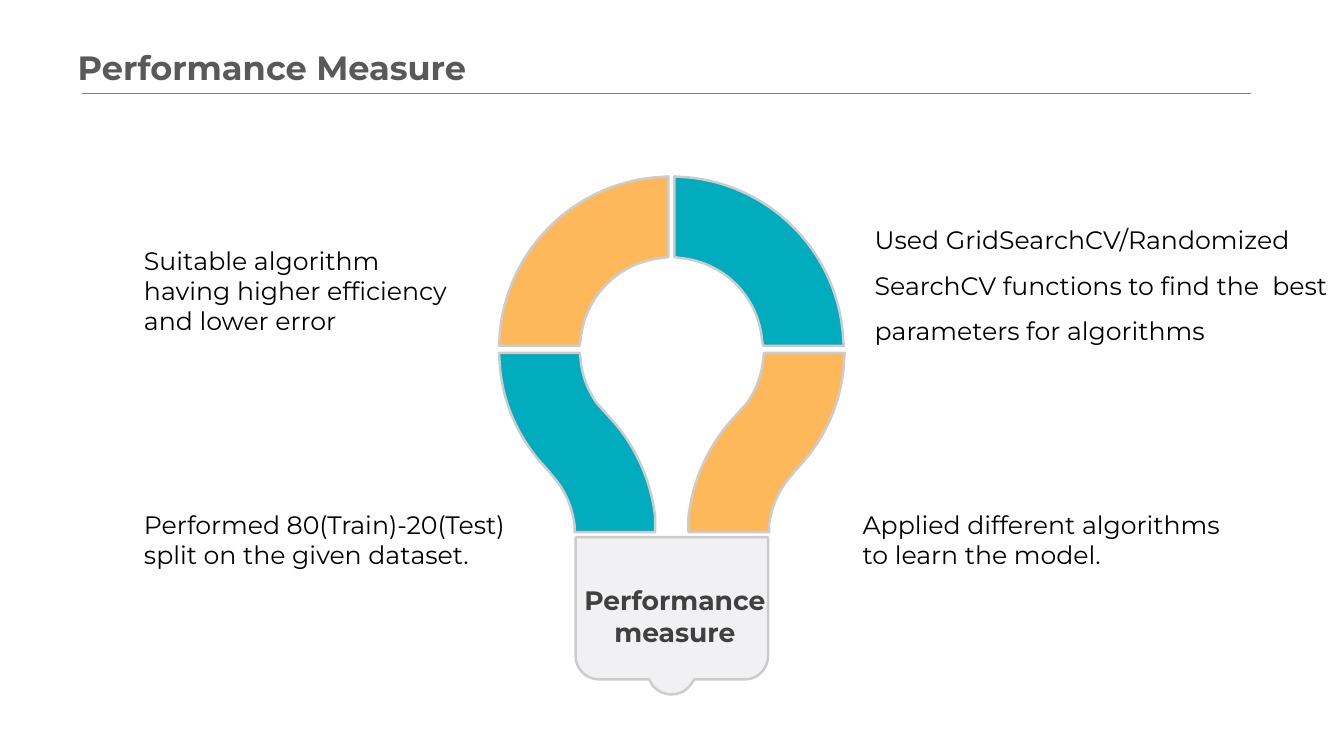
from dataclasses import dataclass
from pptx import Presentation
from pptx.dml.color import RGBColor
from pptx.enum.text import MSO_ANCHOR, MSO_AUTO_SIZE, PP_ALIGN
from pptx.oxml.ns import qn
from pptx.util import Inches, Pt

LEFT, CENTER = PP_ALIGN.LEFT, PP_ALIGN.CENTER
MIDDLE, FIXED = MSO_ANCHOR.MIDDLE, MSO_AUTO_SIZE.NONE


@dataclass(frozen=True)
class Theme:
    """Colours, font and type sizes."""
    font: str = "Montserrat"
    teal: str = "01ACBE"
    amber: str = "FFB859"
    base: str = "F1F1F3"
    edge: str = "CCCCCC"
    rule: str = "808080"
    head: str = "595959"
    label: str = "404040"
    text: str = "000000"
    title_size: int = 24
    label_size: int = 19
    body_size: int = 18


ARC = [(6.63, 1.75), (6.63, 2.55), (6.57, 2.56),
       (6.14, 2.6, 5.8, 2.94, 5.76, 3.37), (5.75, 3.43), (4.95, 3.43),
       (4.96, 3.29), (5.04, 2.48, 5.68, 1.84, 6.49, 1.76)]
NECK = [(4.95, 3.5), (5.75, 3.5), (5.76, 3.56),
        (5.77, 3.72, 5.83, 3.87, 5.92, 4), (6.02, 4.11), (6.1, 4.2),
        (6.32, 4.46, 6.46, 4.78, 6.5, 5.13), (6.5, 5.28), (5.7, 5.28),
        (5.7, 5.21), (5.68, 5.05, 5.62, 4.9, 5.53, 4.78), (5.44, 4.67),
        (5.35, 4.57), (5.14, 4.32, 4.99, 4, 4.96, 3.64)]
SOCKET = [(5.71, 5.33), (7.62, 5.33), (7.62, 6.51),
          (7.62, 6.63, 7.52, 6.74, 7.4, 6.74), (6.89, 6.74), (6.84, 6.81),
          (6.8, 6.86, 6.73, 6.89, 6.66, 6.89),
          (6.59, 6.89, 6.53, 6.86, 6.48, 6.81), (6.44, 6.74), (5.94, 6.74),
          (5.81, 6.74, 5.71, 6.63, 5.71, 6.51)]

NOTES = [
    ((1.33, 2.38, 3.29, 1.01),
     [("Suitable algorithm having higher efficiency and lower error", 1)]),
    ((1.33, 5, 4.18, 1.25),
     [("Performed 80(Train)-20(Test) split on the given dataset.", 1)]),
    ((8.58, 2.18, 4.73, 1.26),
     [("Used GridSearchCV/Randomized", 1),
      ("SearchCV functions to find the  best parameters for algorithms", 1.5)]),
    ((8.46, 5, 3.76, 0.71),
     [("Applied different algorithms to learn the model.", 1)]),
]


def mirror(path, span):
    """Flip a path about the upright line at half the span."""
    return [tuple(v if i % 2 else span - v for i, v in enumerate(part))
            for part in path]


class Canvas:
    """Draws styled elements on one slide."""

    def __init__(self, deck, theme):
        """Add a title-only slide."""
        self.theme = theme
        self.slide = deck.slides.add_slide(deck.slide_layouts[5])
        self.shapes = self.slide.shapes

    def style(self, para, size, color, bold=False, align=LEFT):
        """Format one paragraph."""
        para.alignment = align
        font = para.font
        font.name, font.size, font.bold = self.theme.font, Pt(size), bold
        font.color.rgb = RGBColor.from_string(color)

    def title(self, text, box):
        """Place and format the title."""
        shape = self.shapes.title
        shape.left, shape.top, shape.width, shape.height = map(Inches, box)
        frame = shape.text_frame
        frame.text = text
        frame.auto_size, frame.vertical_anchor = FIXED, MIDDLE
        para = frame.paragraphs[0]
        para.space_before = Pt(0)
        self.style(para, self.theme.title_size, self.theme.head, True)

    def text(self, box, lines, *look):
        """Add a wrapped text box of (text, line spacing) pairs."""
        frame = self.shapes.add_textbox(*map(Inches, box)).text_frame
        frame.word_wrap = True
        for i, (words, gap) in enumerate(lines):
            para = frame.add_paragraph() if i else frame.paragraphs[0]
            para.text = words
            if gap != 1:
                para.line_spacing = gap
            self.style(para, *look)

    def outline(self, path, color):
        """Add a closed filled outline of lines and cubic curves."""
        points = [(Inches(x), Inches(y)) for part in path
                  for x, y in zip(part[::2], part[1::2])]
        pen = self.shapes.build_freeform(*points[0])
        pen.add_line_segments(points[1:], close=True)
        shape = pen.convert_to_shape()
        self.bend(shape, path)
        shape.shadow.inherit = False
        shape.fill.solid()
        shape.fill.fore_color.rgb = RGBColor.from_string(color)
        shape.line.color.rgb = RGBColor.from_string(self.theme.edge)
        shape.line.width = Pt(1.75)

    def bend(self, shape, path):
        """Join each three segments of a curve into one cubic."""
        segs = iter(list(shape._element.iter(qn("a:lnTo"))))
        for part in path[1:]:
            first = next(segs)
            if len(part) == 2:
                continue
            curve = first.makeelement(qn("a:cubicBezTo"), {})
            first.addprevious(curve)
            for seg in (first, next(segs), next(segs)):
                curve.append(seg[0])
                seg.getparent().remove(seg)

    def rule(self, left, right, top):
        """Add a thin level line."""
        line = self.shapes.add_connector(
            1, Inches(left), Inches(top), Inches(right), Inches(top))
        line.line.color.rgb = RGBColor.from_string(self.theme.rule)
        line.line.width = Pt(0.5)
        props = line._element.spPr
        props.append(props.makeelement(qn("a:effectLst"), {}))


def main():
    """Build and save the slide."""
    deck = Presentation()
    deck.slide_width, deck.slide_height = Inches(40 / 3), Inches(7.5)
    theme = Theme()
    page = Canvas(deck, theme)
    page.title("Performance Measure", (0.67, 0.39, 4.97, 0.54))
    page.outline(SOCKET, theme.base)
    page.text((5.65, 5.74, 2.09, 0.74), [("Performance measure", 1)],
              theme.label_size, theme.label, True, CENTER)
    for path, span, near, far in ((ARC, 13.32, theme.amber, theme.teal),
                                  (NECK, 13.33, theme.teal, theme.amber)):
        page.outline(mirror(path, span), far)
        page.outline(path, near)
    for box, lines in NOTES:
        page.text(box, lines, theme.body_size, theme.text)
    page.rule(0.81, 12.41, 0.93)
    deck.save("out.pptx")


if __name__ == "__main__":
    main()
